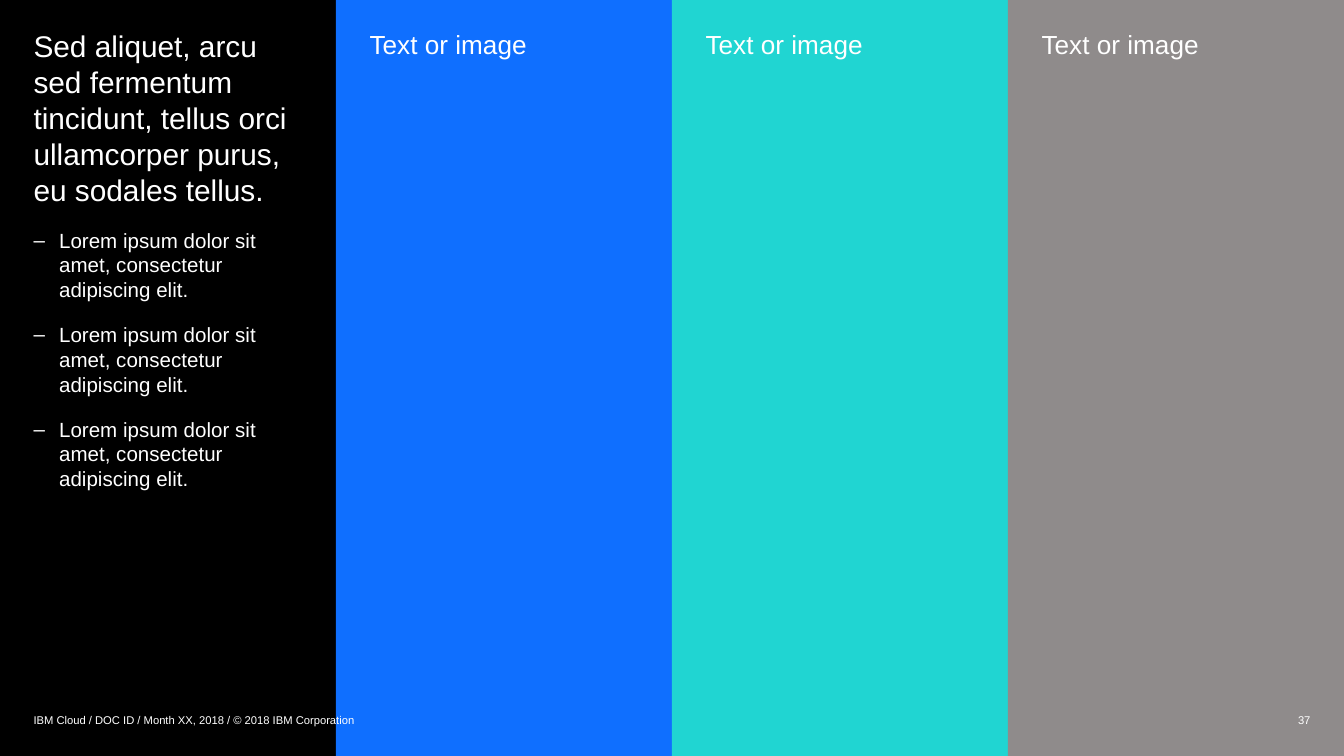
from dataclasses import dataclass

from lxml.etree import SubElement
from pptx import Presentation
from pptx.dml.color import RGBColor
from pptx.enum.shapes import MSO_SHAPE as Shape
from pptx.enum.text import MSO_ANCHOR as Anchor, PP_ALIGN as Align
from pptx.oxml.ns import qn
from pptx.util import Inches, Pt


@dataclass(frozen=True)
class Theme:
    """Colours, font and type sizes of the slide."""
    font: str = "Arial"
    text: str = "FFFFFF"
    black: str = "000000"
    blue: str = "0F6FFF"
    teal: str = "20D5D2"
    gray: str = "8F8B8B"
    lead: int = 16
    heading: int = 14
    body: int = 11
    footer: int = 6


THEME = Theme()
WIDTH = 10
HEIGHT = WIDTH * 9 / 16
MARGIN = 0.25


def add_bullet(paragraph, character, indent):
    """Make the paragraph a second-level item with a hanging bullet."""
    paragraph.level = 1
    properties = paragraph._p.get_or_add_pPr()
    properties.set("marL", str(Inches(indent)))
    properties.set("indent", str(-Inches(indent)))
    SubElement(properties, qn("a:buFont")).set("typeface", THEME.font)
    SubElement(properties, qn("a:buChar")).set("char", character)


def write(paragraph, text, size, align=Align.LEFT, before=0, bullet=None):
    """Write formatted text into a paragraph."""
    paragraph.alignment = align
    paragraph.space_before = Pt(before)
    if bullet:
        add_bullet(paragraph, bullet, 0.19)
    run = paragraph.add_run()
    run.text = text
    run.font.name = THEME.font
    run.font.size = Pt(size)
    run.font.color.rgb = RGBColor.from_string(THEME.text)


def set_frame(frame, anchor, left=0, top=0, right=0, bottom=0):
    """Set wrapping, anchor and insets of a text frame."""
    frame.word_wrap = True
    frame.vertical_anchor = anchor
    frame.margin_left, frame.margin_top = Inches(left), Inches(top)
    frame.margin_right, frame.margin_bottom = Inches(right), Inches(bottom)


def add_panel(slide, box, color, title, size, bullets=()):
    """Add a full-height colour panel with a title and optional bullets."""
    shape = slide.shapes.add_shape(Shape.RECTANGLE, *map(Inches, box))
    shape.shadow.inherit = False
    shape.fill.solid()
    shape.fill.fore_color.rgb = RGBColor.from_string(color)
    shape.line.fill.background()
    frame = shape.text_frame
    set_frame(frame, Anchor.TOP, MARGIN, 0.21, MARGIN, MARGIN)
    write(frame.paragraphs[0], title, size)
    for bullet in bullets:
        write(frame.add_paragraph(), bullet, THEME.body, before=11, bullet="–")


def add_label(slide, box, text, align):
    """Add one line of footer text."""
    frame = slide.shapes.add_textbox(*map(Inches, box)).text_frame
    set_frame(frame, Anchor.MIDDLE)
    write(frame.paragraphs[0], text, THEME.footer, align=align)


def add_footer(slide, box):
    """Add the page number and the copyright line inside the box."""
    left, top, width, height = box
    number_width = 2.25
    number_left = left + width - number_width
    add_label(slide, (number_left, top, number_width, height), "37", Align.RIGHT)
    add_label(slide, (left, top, 7, height),
              "IBM Cloud / DOC ID / Month XX, 2018 / © 2018 IBM Corporation", Align.LEFT)


def add_columns(slide, box):
    """Split the box into four equal panels."""
    left, top, width, height = box
    lead = "Sed aliquet, arcu sed fermentum tincidunt, tellus orci ullamcorper purus, eu sodales tellus."
    bullets = ["Lorem ipsum dolor sit amet, consectetur adipiscing elit."] * 3
    column = width / 4
    add_panel(slide, (left, top, column, height), THEME.black, lead, THEME.lead, bullets)
    for index, color in enumerate((THEME.blue, THEME.teal, THEME.gray), start=1):
        panel = (left + index * column, top, column, height)
        add_panel(slide, panel, color, "Text or image", THEME.heading)


def main():
    """Build and save the slide."""
    presentation = Presentation()
    presentation.slide_width = Inches(WIDTH)
    presentation.slide_height = Inches(HEIGHT)
    slide = presentation.slides.add_slide(presentation.slide_layouts[6])
    slide.background.fill.solid()
    slide.background.fill.fore_color.rgb = RGBColor.from_string(THEME.black)
    add_columns(slide, (0, 0, WIDTH, HEIGHT))
    add_footer(slide, (MARGIN, 5.28, WIDTH - 2 * MARGIN, 0.15))
    presentation.save("out.pptx")


if __name__ == "__main__":
    main()
